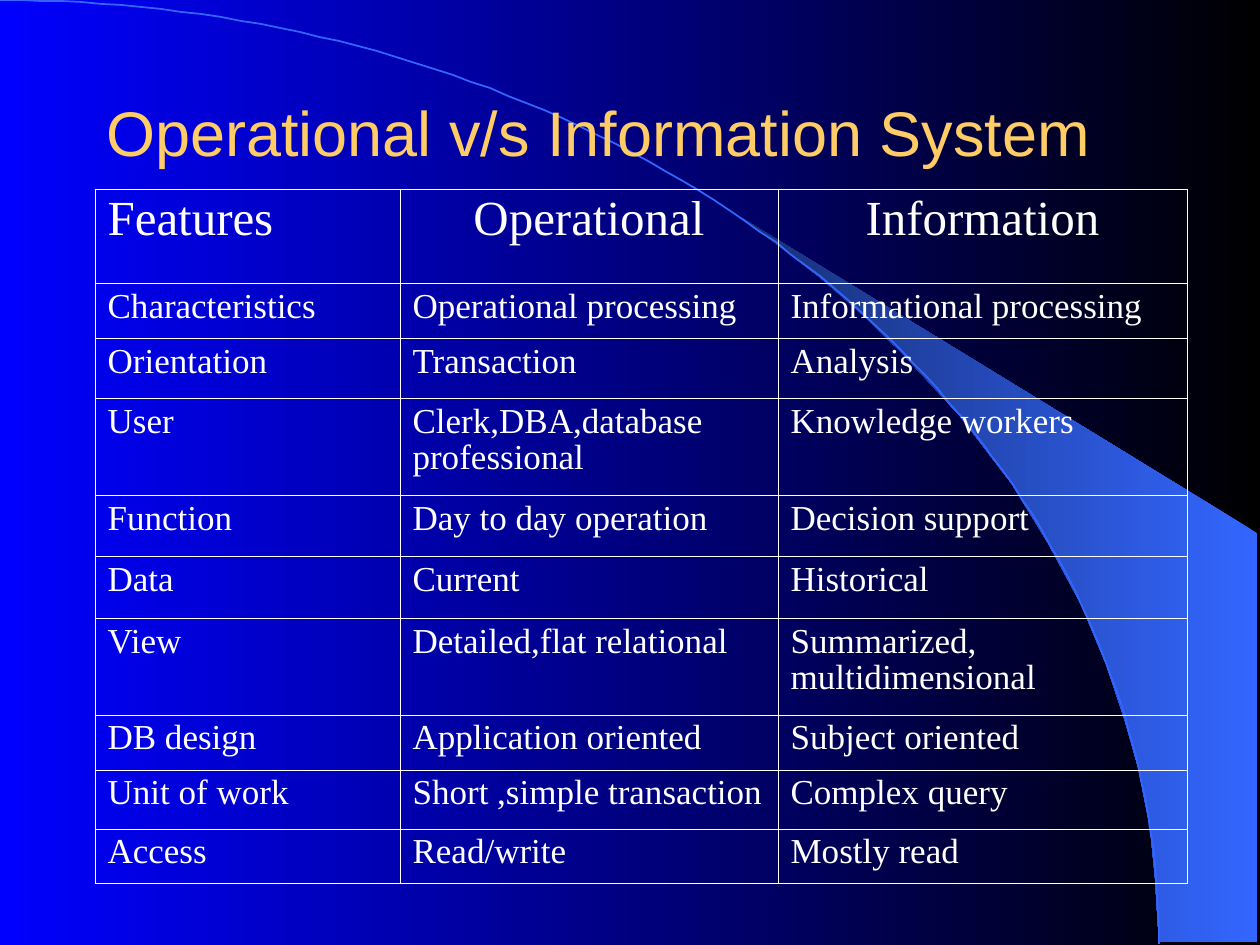
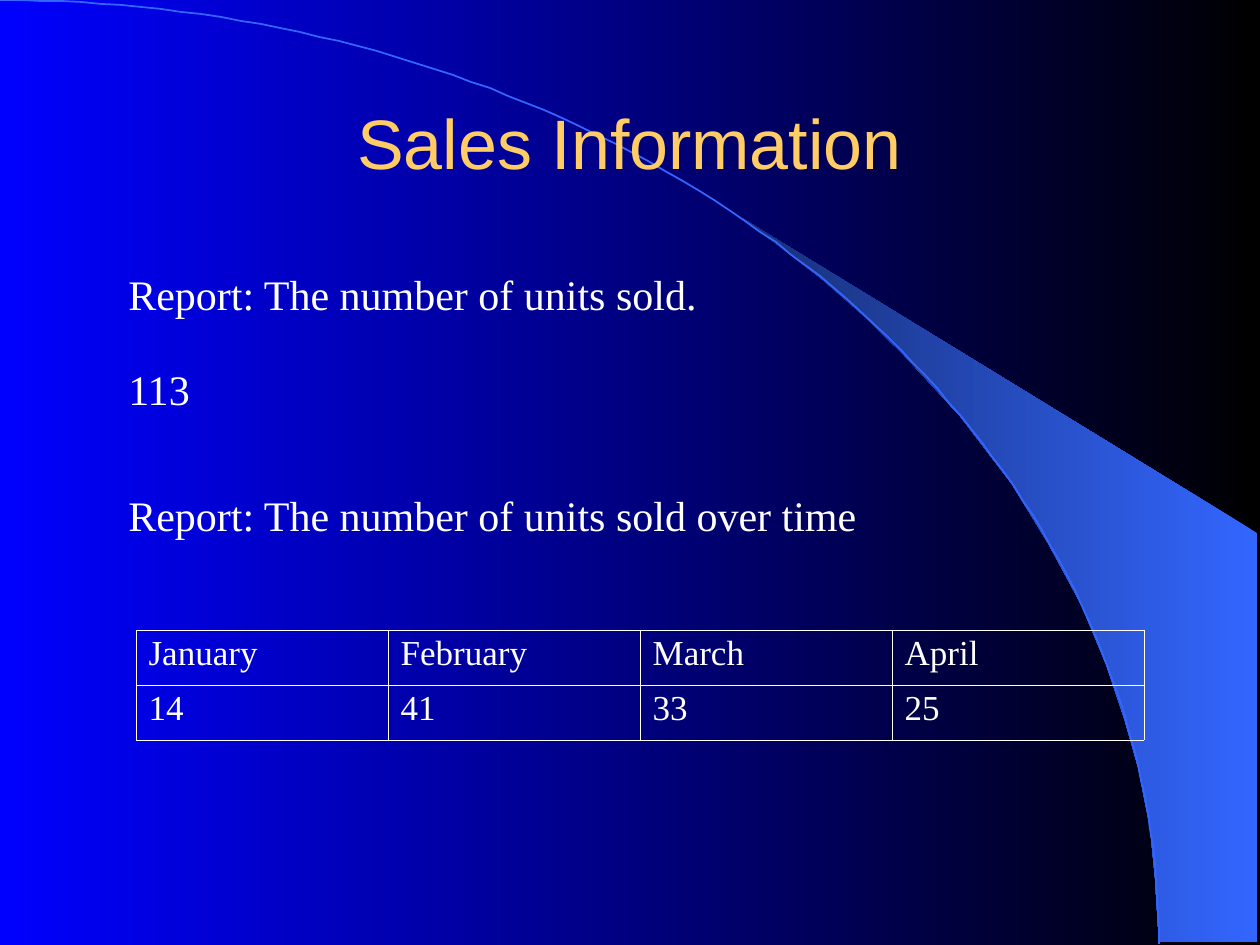
from math import cos, pi, sin

from lxml.etree import SubElement
from pptx import Presentation
from pptx.dml.color import RGBColor
from pptx.enum.text import MSO_ANCHOR as Anchor, PP_ALIGN as Align
from pptx.oxml import parse_xml
from pptx.oxml.ns import nsdecls, qn
from pptx.util import Pt

PX = 914400 / 126
SLIDE = (0, 0, 1260, 945)
COLOURS = {"night": "000000", "blue": "0000FF", "arc": "3366FF", "shade": "172F75",
           "title": "FFCC66", "text": "FFFFFF"}
SIDES = ("L", "R", "T", "B")
OUTER, INNER = 0.5, 0.23

CRESCENT = [(1159, 942), (1257, 942), (1257, 533), (742, 218), (786, 251), (823, 280),
            (863, 315), (902, 353), (960, 416), (1012, 484), (1048, 543), (1081, 604),
            (1106, 664), (1125, 721), (1138, 767), (1150, 827), (1155, 877)]
ARC_SIZE = (1159, 944)
ARC_STEPS = 90

SYSTEMS = [
    ("Features", "Operational", "Information"),
    ("Characteristics", "Operational processing", "Informational processing"),
    ("Orientation", "Transaction", "Analysis"),
    ("User", "Clerk,DBA,database professional", "Knowledge workers"),
    ("Function", "Day to day operation", "Decision support"),
    ("Data", "Current", "Historical"),
    ("View", "Detailed,flat relational", "Summarized, multidimensional"),
    ("DB design", "Application oriented", "Subject oriented"),
    ("Unit of work", "Short ,simple transaction", "Complex query"),
    ("Access", "Read/write", "Mostly read"),
]
SYSTEM_COLUMNS = (305, 378, 409)
SYSTEM_ROWS = (94, 55, 60, 97, 61, 62, 97, 55, 59, 55)
SALES = [("January", "February", "March", "April"), ("14", "41", "33", "25")]
REPORTS = [("Report: The number of units sold.", 0, 595),
           ("113", 95, 88),
           ("Report: The number of units sold over time", 221, 754)]


def emu(*lengths):
    """Turn px lengths into EMU."""
    return [round(length * PX) for length in lengths]


def rgb(name):
    """Look up a named colour."""
    return RGBColor.from_string(COLOURS[name])


def fill_gradient(fill, right, left):
    """Fill with a gradient running from right to left."""
    fill.gradient()
    fill.gradient_angle = 180
    for stop, name in zip(fill.gradient_stops, (right, left)):
        stop.color.rgb = rgb(name)


def write(para, text, size, font="Times New Roman", colour="text", **layout):
    """Write one run and set its font and the paragraph layout."""
    span = para.add_run()
    span.text = text
    for name, value in {"name": font, "size": Pt(size)}.items():
        setattr(span.font, name, value)
    span.font.color.rgb = rgb(colour)
    for name, value in layout.items():
        setattr(para, name, value)


def add_text(page, box, text, size, wrap=False, anchor=Anchor.TOP, **style):
    """Add a text box holding one paragraph."""
    frame = page.shapes.add_textbox(*emu(*box)).text_frame
    for name, value in {"word_wrap": wrap, "vertical_anchor": anchor}.items():
        setattr(frame, name, value)
    write(frame.paragraphs[0], text, size, **style)


def add_title(page, box, text, size, alignment):
    """Add the slide title."""
    add_text(page, box, text, size, wrap=True, anchor=Anchor.MIDDLE,
             font="Arial", colour="title", alignment=alignment)


def add_outline(page, box, points, close):
    """Add a freeform from points relative to the box."""
    left, top = box[:2]
    start, *rest = [(left + x, top + y) for x, y in points]
    builder = page.shapes.build_freeform(*start, scale=PX)
    builder.add_line_segments(rest, close=close)
    shape = builder.convert_to_shape()
    shape.shadow.inherit = False
    return shape


def add_backdrop(page, box):
    """Paint the background, the crescent and the arc."""
    fill_gradient(page.background.fill, "night", "blue")
    crescent = add_outline(page, box, CRESCENT, True)
    fill_gradient(crescent.fill, "arc", "shade")
    crescent.line.fill.background()
    width, height = ARC_SIZE
    angles = [step * pi / 2 / ARC_STEPS for step in range(ARC_STEPS + 1)]
    curve = [(width * sin(angle), height * (1 - cos(angle))) for angle in angles]
    arc = add_outline(page, box, curve, False)
    arc.fill.background()
    arc.line.color.rgb = rgb("arc")
    arc.line.width = Pt(1)


def set_borders(cell, widths):
    """Draw the four cell borders with the given widths in points."""
    properties = cell._tc.get_or_add_tcPr()
    for index, (side, width) in enumerate(zip(SIDES, widths)):
        line = parse_xml(f'<a:ln{side} {nsdecls("a")} w="{Pt(width)}"/>')
        paint = SubElement(line, qn("a:solidFill"))
        SubElement(paint, qn("a:srgbClr"), val=COLOURS["text"])
        properties.insert(index, line)


def add_grid(page, box, rows, widths, heights, large_header=False):
    """Add a see-through table with thin white rules."""
    left, top = box
    size = (sum(widths), sum(heights))
    table = page.shapes.add_table(len(rows), len(widths), *emu(left, top, *size)).table
    table.first_row = table.horz_banding = False
    for column, width in zip(table.columns, emu(*widths)):
        column.width = width
    for row, height in zip(table.rows, emu(*heights)):
        row.height = height
    for r, texts in enumerate(rows):
        for c, text in enumerate(texts):
            cell = table.cell(r, c)
            cell.fill.background()
            edges = (c == 0, c == len(widths) - 1, r == 0, r == len(rows) - 1)
            set_borders(cell, [OUTER if edge else INNER for edge in edges])
            header = large_header and r == 0
            write(cell.text_frame.paragraphs[0], text, 28 if header else 20,
                  line_spacing=0.93,
                  alignment=Align.CENTER if header and c else Align.LEFT)


def add_reports(page, box):
    """Add the report lines of the sales slide."""
    left, top = box
    for text, offset, width in REPORTS:
        add_text(page, (left, top + offset, width, 63), text, 24)


def add_page(deck):
    """Add a blank slide with the shared backdrop."""
    page = deck.slides.add_slide(deck.slide_layouts[6])
    add_backdrop(page, SLIDE)
    return page


def build_systems(deck):
    """Build the slide that compares both kinds of system."""
    page = add_page(deck)
    add_title(page, (94, 84, 1071, 95), "Operational v/s Information System", 36, Align.LEFT)
    add_grid(page, (95, 189), SYSTEMS, SYSTEM_COLUMNS, SYSTEM_ROWS, large_header=True)


def build_sales(deck):
    """Build the slide with the sales reports."""
    page = add_page(deck)
    add_title(page, (94, 84, 1071, 116), "Sales Information", 40, Align.CENTER)
    add_reports(page, (116, 262))
    add_grid(page, (136, 630), SALES, [252] * 4, [55] * 2)


def main():
    """Build and save the deck."""
    deck = Presentation()
    deck.slide_width, deck.slide_height = emu(*SLIDE[2:])
    build_systems(deck)
    build_sales(deck)
    deck.save("out.pptx")


if __name__ == "__main__":
    main()
